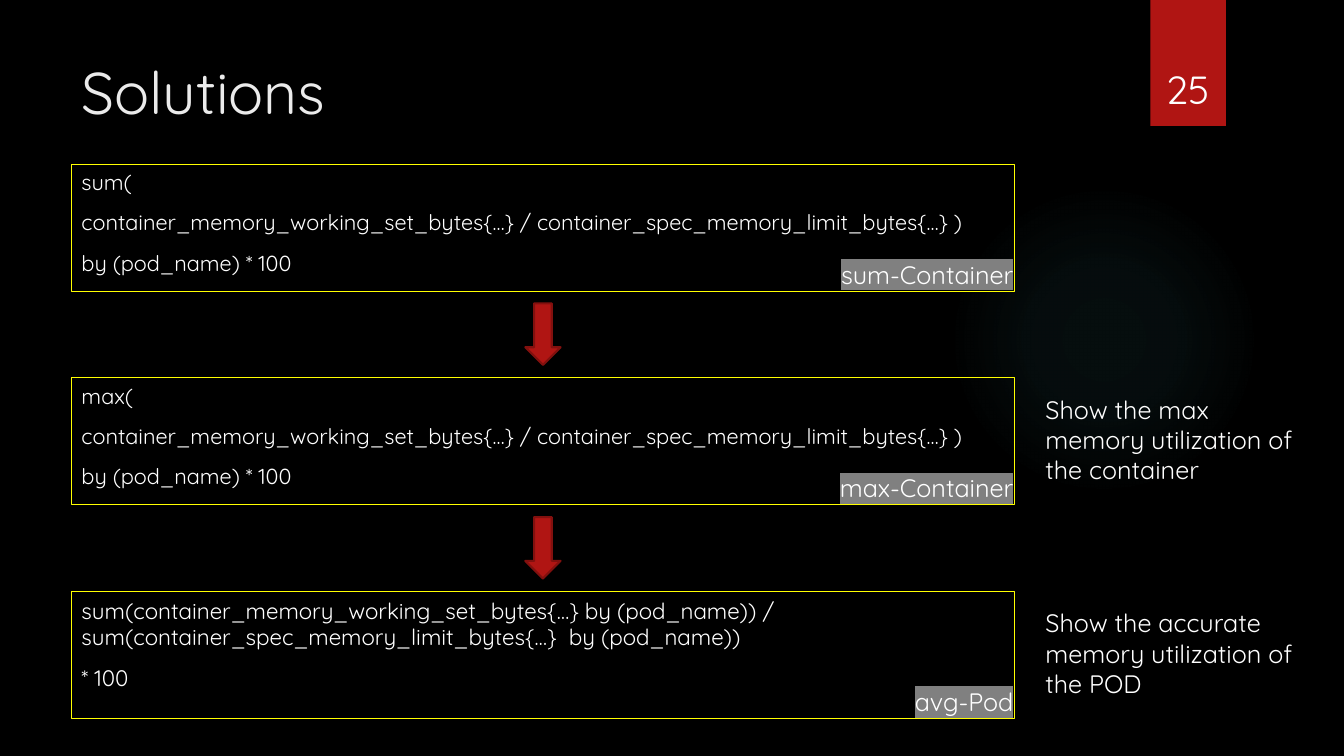
"""Build the Solutions slide with three memory queries and their notes."""
from lxml.etree import SubElement
from pptx import Presentation
from pptx.dml.color import RGBColor
from pptx.enum.shapes import MSO_SHAPE
from pptx.enum.text import MSO_ANCHOR, PP_ALIGN
from pptx.oxml import parse_xml
from pptx.oxml.ns import nsdecls, qn
from pptx.util import Inches, Pt

BLACK = RGBColor(0x00, 0x00, 0x00)
WHITE = RGBColor(0xFF, 0xFF, 0xFF)
TITLE = RGBColor(0xEB, 0xEB, 0xEB)
YELLOW = RGBColor(0xFF, 0xFF, 0x00)
RED = RGBColor(0xB0, 0x15, 0x13)
DARK_RED = RGBColor(0x82, 0x10, 0x0E)
TEAL = RGBColor(0x50, 0xB9, 0xC1)
GRAY = RGBColor(0x80, 0x80, 0x80)

LEFT, TOP, WIDTH, HEIGHT, PITCH = 0.71, 1.63, 9.35, 1.26, 2.12
RATIO = "container_memory_working_set_bytes{…} / container_spec_memory_limit_bytes{…} )"
STEPS = [
    (["sum(", RATIO, "by (pod_name) * 100"], 15.5, "sum-Container", None),
    (["max(", RATIO, "by (pod_name) * 100"], 15.5, "max-Container",
     "Show the max memory utilization of the container"),
    (["sum(container_memory_working_set_bytes{…} by (pod_name)) / "
      "sum(container_spec_memory_limit_bytes{…}  by (pod_name))", "* 100"], 16, "avg-Pod",
     "Show the accurate memory utilization of the POD"),
]

prs = Presentation()
prs.slide_width, prs.slide_height = Inches(13.33), Inches(7.5)
s = prs.slides.add_slide(prs.slide_layouts[6])
s.background.fill.solid()
s.background.fill.fore_color.rgb = BLACK


def add_shape(kind, x, y, w, h, fill=None, line=None, weight=0.75):
    sp = s.shapes.add_shape(kind, Inches(x), Inches(y), Inches(w), Inches(h))
    sp.shadow.inherit = False
    if fill is None:
        sp.fill.background()
    else:
        sp.fill.solid()
        sp.fill.fore_color.rgb = fill
    if line is None:
        sp.line.fill.background()
    else:
        sp.line.color.rgb = line
        sp.line.width = Pt(weight)
    return sp


def add_text(x, y, w, h, lines, size, color=WHITE, align=PP_ALIGN.LEFT,
             anchor=MSO_ANCHOR.TOP, before=0, sp=None):
    sp = sp or s.shapes.add_textbox(Inches(x), Inches(y), Inches(w), Inches(h))
    tf = sp.text_frame
    tf.word_wrap = True
    tf.vertical_anchor = anchor
    for i, line in enumerate(lines):
        p = tf.add_paragraph() if i else tf.paragraphs[0]
        p.alignment = align
        p.space_before = Pt(before)
        r = p.add_run()
        r.text = line
        r.font.size = Pt(size)
        r.font.name = "Quicksand"
        r.font.color.rgb = color
    return sp


glow = add_shape(MSO_SHAPE.OVAL, 9.41, 1.83, 3.08, 3.08, TEAL)
stops = "".join(
    f'<a:gs pos="{pos}000"><a:srgbClr val="{TEAL}"><a:alpha val="{alpha}000"/></a:srgbClr></a:gs>'
    for pos, alpha in [(0, 7), (36, 6), (69, 0)])
gradient = parse_xml(
    f'<a:gradFill {nsdecls("a")}><a:gsLst>{stops}</a:gsLst><a:path path="circle">'
    '<a:fillToRect l="50000" t="50000" r="50000" b="50000"/></a:path></a:gradFill>')
spPr = glow.element.spPr
spPr.replace(spPr.find(qn("a:solidFill")), gradient)

add_shape(MSO_SHAPE.RECTANGLE, 11.41, 0, 0.75, 1.25, RED)
add_text(11.32, 0.32, 0.92, 0.84, ["25"], 28, align=PP_ALIGN.CENTER, anchor=MSO_ANCHOR.BOTTOM)
add_text(LEFT, 0.5, 10.29, 1.53, ["Solutions"], 42, TITLE)

for i, (query, size, label, note) in enumerate(STEPS):
    y = TOP + i * PITCH
    box = add_shape(MSO_SHAPE.RECTANGLE, LEFT, y, WIDTH, HEIGHT, line=YELLOW)
    add_text(LEFT, y, WIDTH, HEIGHT, query, size, before=10, sp=box)

    tag = add_text(8.05, y + 0.89, 2.1, 0.4, [label], 18, align=PP_ALIGN.RIGHT)
    rPr = tag.text_frame.paragraphs[0].runs[0].font._element
    highlight = SubElement(rPr, qn("a:highlight"))
    SubElement(highlight, qn("a:srgbClr"), val=str(GRAY))
    rPr.find(qn("a:solidFill")).addnext(highlight)

    if note:
        add_text(10.27, y + 0.11, 2.8, 1.01, [note], 18)
    if i < len(STEPS) - 1:
        add_shape(MSO_SHAPE.DOWN_ARROW, 5.21, y + 1.38, 0.35, 0.61, RED, DARK_RED, 1.5)

prs.save("out.pptx")
